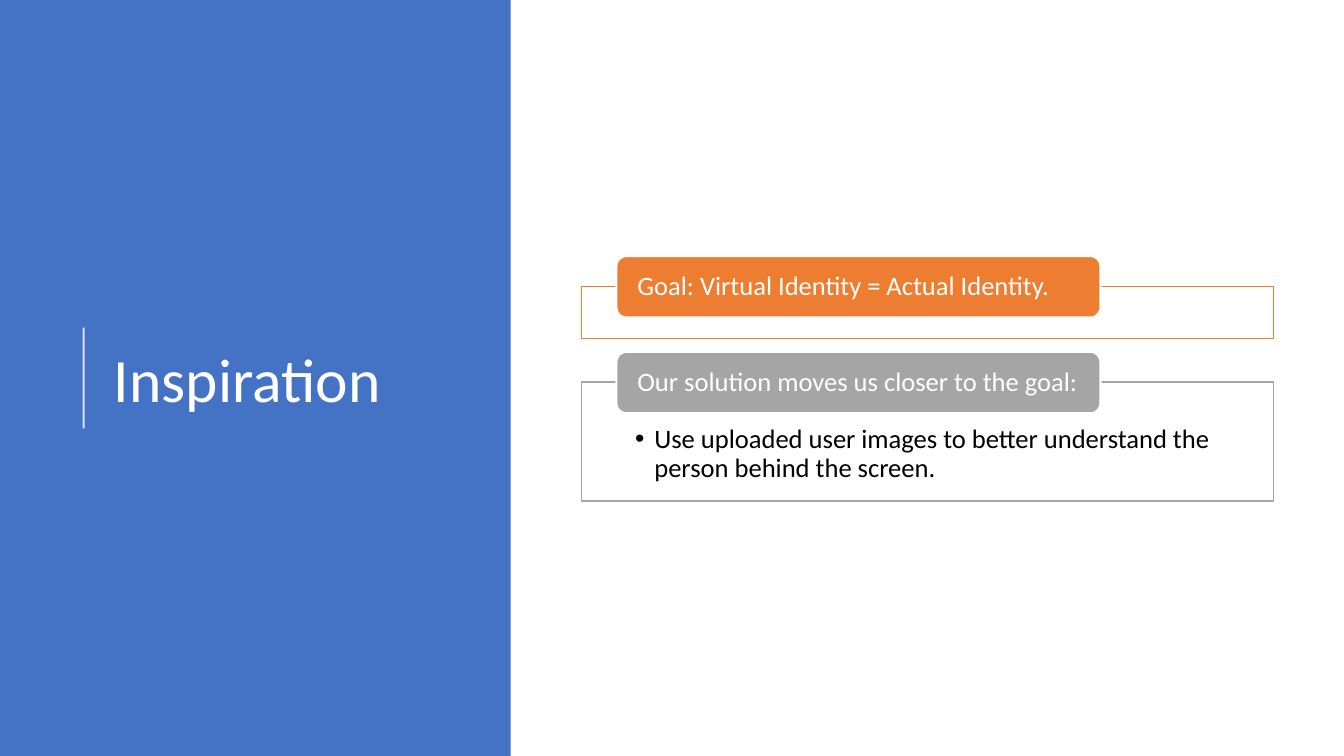
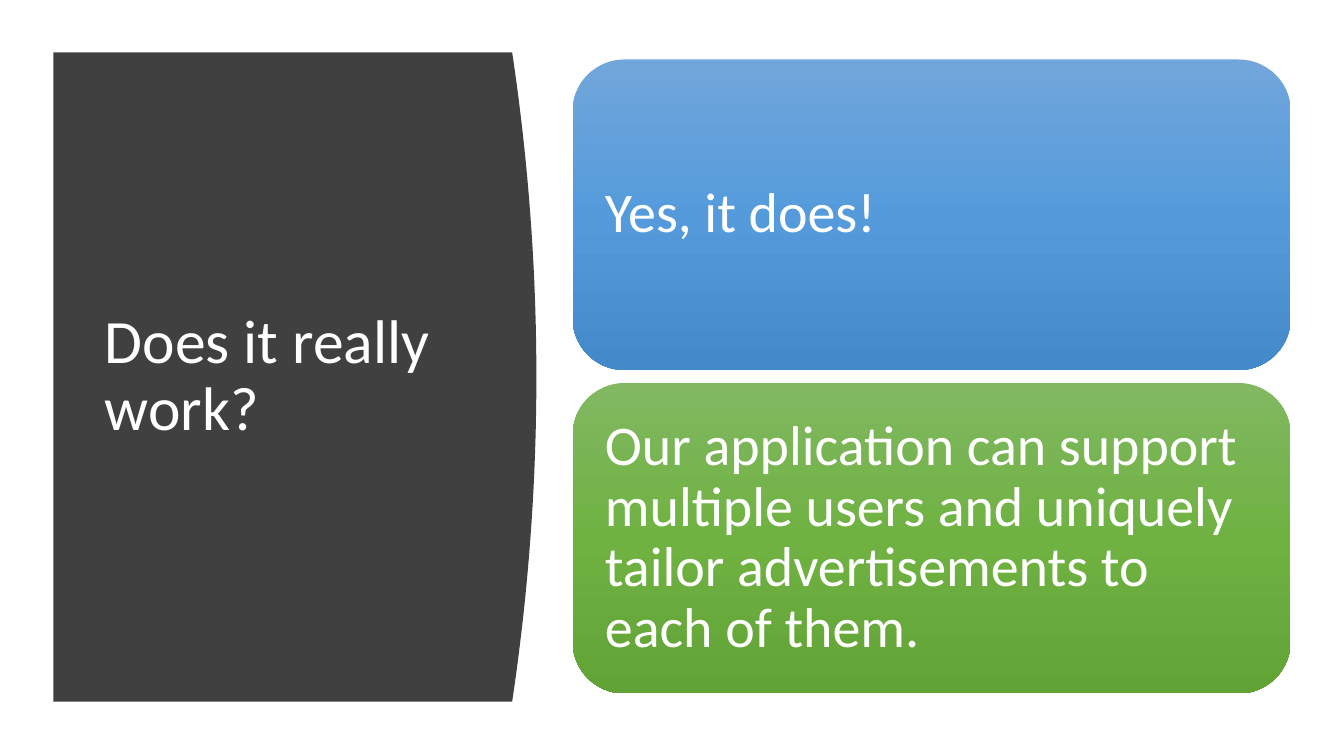
import copy
import pptx
import pptx.util
import pptx.dml.color
import pptx.enum.shapes
import pptx.enum.text
import pptx.oxml.ns
import lxml.etree

WIDE, HIGH = 13.33, 7.5
FONT = "Calibri"
HUES = {
    "white": "FFFFFF", "black": "000000", "blue": "4472C4",
    "orange": "ED7D31", "gray": "A5A5A5", "dark": "404040",
}
BLENDS = {
    "sky": ["71A6DB", "559BDB", "448ACA"],
    "leaf": ["81B861", "6FB242", "62A336"],
}
KINDS = pptx.enum.shapes.MSO_SHAPE
ANCHOR = pptx.enum.text.MSO_ANCHOR
inch = pptx.util.Inches
tag = pptx.oxml.ns.qn


def rgb(name):
    return pptx.dml.color.RGBColor.from_string(HUES.get(name, name))


def fade(part, share):
    for color in part.iter(tag("a:srgbClr")):
        lxml.etree.SubElement(color, tag("a:alpha"), val=str(share * 1000))


def finish(shape, fill=None, line=None, weight=1):
    shape.shadow.inherit = False
    if fill:
        shape.fill.solid()
        shape.fill.fore_color.rgb = rgb(fill)
    if line:
        shape.line.color.rgb = rgb(line)
        shape.line.width = pptx.util.Pt(weight)
    else:
        shape.line.fill.background()
    return shape


def block(slide, kind, box, fill=None, line=None, weight=1):
    shape = slide.shapes.add_shape(kind, *map(inch, box))
    return finish(shape, fill, line, weight)


def write(shape, text, size, hue="white", pads=(0.1, 0.05, 0.1, 0.05), anchor=ANCHOR.MIDDLE):
    frame = shape.text_frame
    frame.word_wrap = True
    frame.vertical_anchor = anchor
    frame.margin_left, frame.margin_top, frame.margin_right, frame.margin_bottom = map(inch, pads)
    para = frame.paragraphs[0]
    para.alignment = pptx.enum.text.PP_ALIGN.LEFT
    para.line_spacing = 0.9
    run = para.add_run()
    run.text = text
    run.font.name = FONT
    run.font.size = pptx.util.Pt(size)
    run.font.color.rgb = rgb(hue)
    return para


def bullet(para, indent):
    props = para._p.get_or_add_pPr()
    props.set("marL", str(inch(indent)))
    props.set("indent", str(-inch(indent)))
    lxml.etree.SubElement(props, tag("a:buFont"), typeface="Arial")
    lxml.etree.SubElement(props, tag("a:buChar"), char="\u2022")


def title(slide, box, text):
    write(slide.shapes.add_textbox(*map(inch, box)), text, 44)


def rule(slide, x, top, end):
    kind = pptx.enum.shapes.MSO_CONNECTOR.STRAIGHT
    line = slide.shapes.add_connector(kind, *map(inch, (x, end, x, top)))
    line.line.color.rgb = rgb("white")
    line.line.width = pptx.util.Pt(1.5)
    props = line._element.spPr
    fade(props, 80)
    lxml.etree.SubElement(props, tag("a:effectLst"))


def side(slide, box, text):
    left, top, wide, high = box
    block(slide, KINDS.RECTANGLE, box, "blue")
    title(slide, (left + 1.03, top + 0.78, wide - 1.38, high - 1.48), text)
    mid = top + high / 2
    rule(slide, left + 0.83, mid - 0.5, mid + 0.5)


def card(slide, box, hue, label, point=None):
    left, top, wide, high = box
    panel = block(slide, KINDS.RECTANGLE, box, "white", hue)
    fade(panel._element.spPr.find(tag("a:solidFill")), 90)
    if point:
        para = write(panel, point, 19, "black", (0.53, 0.43, 0.53, 0.15), ANCHOR.TOP)
        bullet(para, 0.19)
    tab = (left + 0.05 * wide, top - 0.3, 0.7 * wide, 0.61)
    head = block(slide, KINDS.ROUNDED_RECTANGLE, tab, hue, "white", 1.5)
    write(head, label, 19, pads=(0.18, 0, 0.18, 0))


def curve(slide, box, bulge, text):
    left, top, wide, high = box
    steps = 40
    edge = []
    for step in range(steps + 1):
        share = step / steps
        x = left + wide - bulge * (2 * share - 1) ** 2
        edge.append((inch(x), inch(top + share * high)))
    pen = slide.shapes.build_freeform(inch(left), inch(top))
    pen.add_line_segments(edge + [(inch(left), inch(top + high))], close=True)
    finish(pen.convert_to_shape(), "dark")
    title(slide, (left + 0.41, top + 0.6, wide - 1.05, high - 1.2), text)


def blend(shape, hues):
    fill = shape.fill
    fill.gradient()
    fill.gradient_angle = 270
    stops = shape._element.spPr.find(".//" + tag("a:gsLst"))
    stops.insert(1, copy.deepcopy(stops[0]))
    for spot, (stop, hue) in enumerate(zip(fill.gradient_stops, hues)):
        stop.color.rgb = rgb(hue)
        stop.position = spot / 2


def stack(slide, box, gap, items):
    left, top, wide, high = box
    tall = (high - gap * (len(items) - 1)) / len(items)
    for row, (hue, text) in enumerate(items):
        spot = (left, top + row * (tall + gap), wide, tall)
        tile = block(slide, KINDS.ROUNDED_RECTANGLE, spot)
        blend(tile, BLENDS[hue])
        write(tile, text, 40, pads=(0.17,) * 4)


def goals(slide):
    side(slide, (0, 0, 0.38 * WIDE, HIGH), "Inspiration")
    left, wide = 5.77, 6.86
    card(slide, (left, 2.84, wide, 0.52), "orange",
         "Goal: Virtual Identity = Actual Identity. ")
    card(slide, (left, 3.79, wide, 1.18), "gray",
         "Our solution moves us closer to the goal: ",
         "Use uploaded user images to better understand the person behind the screen.")


def proof(slide):
    curve(slide, (0.53, 0.52, 4.79, 6.44), 0.24, "Does it really work?")
    stack(slide, (5.68, 0.59, 7.12, 6.29), 0.13, [
        ("sky", "Yes, it does!"),
        ("leaf", "Our application can support multiple users and uniquely "
                 "tailor advertisements to each of them."),
    ])


deck = pptx.Presentation()
deck.slide_width, deck.slide_height = inch(WIDE), inch(HIGH)
for build in (goals, proof):
    build(deck.slides.add_slide(deck.slide_layouts[6]))
deck.save("out.pptx")
